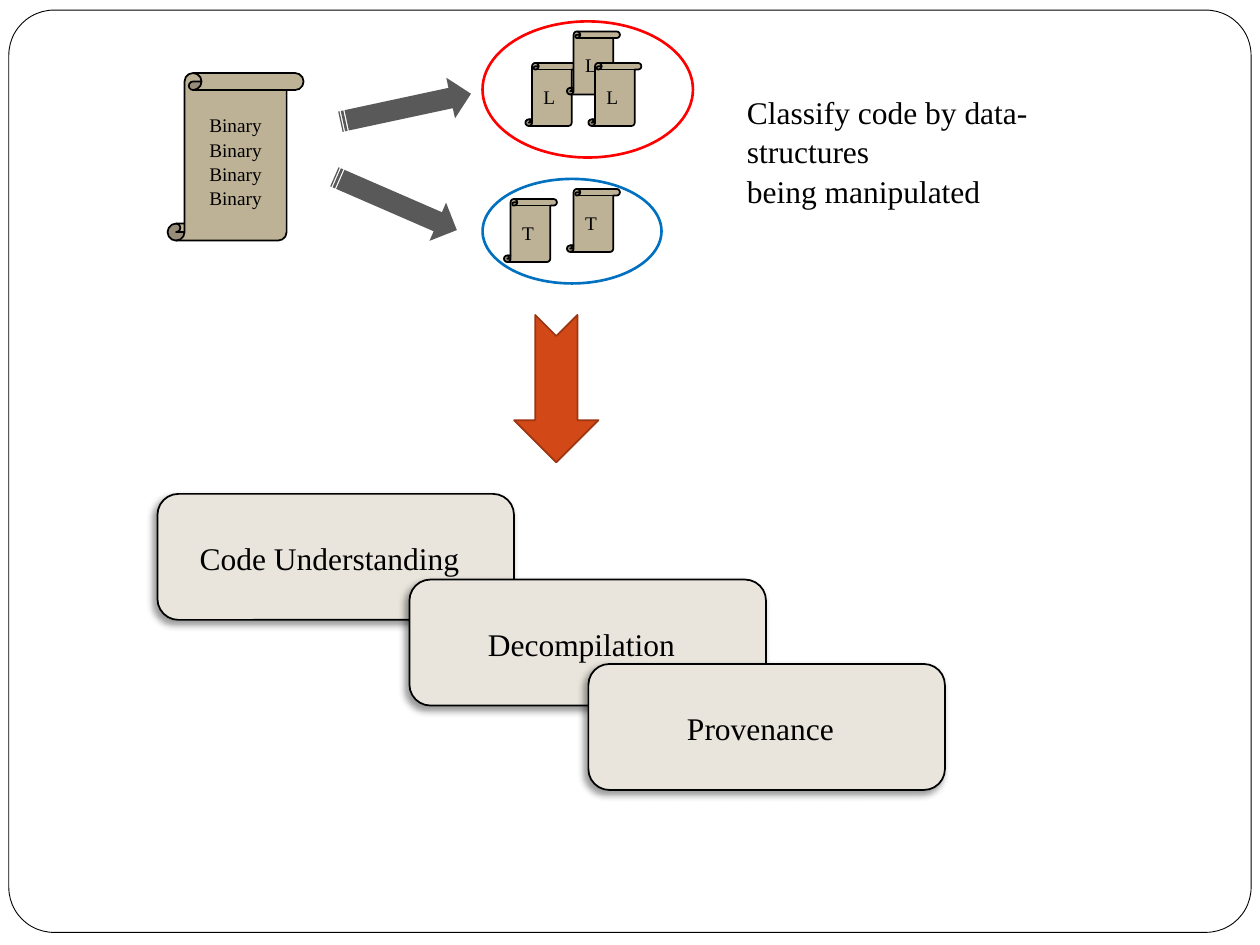
from lxml.etree import SubElement
from pptx import Presentation
from pptx.dml.color import RGBColor
from pptx.enum.shapes import MSO_SHAPE
from pptx.enum.text import MSO_ANCHOR, PP_ALIGN
from pptx.oxml.ns import qn
from pptx.util import Inches, Pt

BLACK = RGBColor(0x00, 0x00, 0x00)
WHITE = RGBColor(0xFF, 0xFF, 0xFF)
SCROLL_TAN = RGBColor(0xBD, 0xB1, 0x96)
BOX_BEIGE = RGBColor(0xE9, 0xE5, 0xDC)
ORANGE = RGBColor(0xD3, 0x48, 0x17)
DARK_ORANGE = RGBColor(0x9C, 0x35, 0x11)
GREY = RGBColor(0x59, 0x59, 0x59)
RED = RGBColor(0xFF, 0x00, 0x00)
BLUE = RGBColor(0x00, 0x70, 0xC0)


class SlideBuilder:
    font = "Times New Roman"
    line_spacing = 1.05

    def __init__(self, slide):
        self.slide = slide

    def outline(self, kind, bounds, fill=None, line=None, weight=1, rotation=0):
        shape = self.slide.shapes.add_shape(kind, *map(Inches, bounds))
        shape.shadow.inherit = False
        shape.rotation = rotation
        if fill is None:
            shape.fill.background()
        else:
            shape.fill.solid()
            shape.fill.fore_color.rgb = fill
        if line is None:
            shape.line.fill.background()
        else:
            shape.line.color.rgb = line
            shape.line.width = Pt(weight)
        return shape

    def label(self, shape, lines, size, align, anchor, left=0.1, right=0.1):
        frame = shape.text_frame
        frame.word_wrap = True
        frame.vertical_anchor = anchor
        frame.margin_left, frame.margin_right = Inches(left), Inches(right)
        paragraph = frame.paragraphs[0]
        paragraph.alignment = align
        paragraph.line_spacing = self.line_spacing
        for index, line in enumerate(lines):
            if index:
                paragraph.add_line_break()
            run = paragraph.add_run()
            run.text = line
            run.font.name = self.font
            run.font.size = Pt(size)
            run.font.color.rgb = BLACK

    def frame(self, bounds):
        border = self.outline(MSO_SHAPE.ROUNDED_RECTANGLE, bounds, WHITE, BLACK, 0.5)
        border.adjustments[0] = 0.049

    def scroll(self, bounds, text, left=0.1, right=0.1):
        scroll = self.outline(MSO_SHAPE.VERTICAL_SCROLL, bounds, SCROLL_TAN, BLACK)
        self.label(scroll, [text], 11, PP_ALIGN.CENTER, MSO_ANCHOR.MIDDLE, left, right)

    def code_scroll(self, left, top, letter):
        self.scroll((left, top, 0.42, 0.5), letter, 0, 0.04)

    def cluster(self, bounds, color):
        self.outline(MSO_SHAPE.OVAL, bounds, line=color, weight=1.5)

    def striped_arrow(self, left, top, rotation):
        self.outline(MSO_SHAPE.STRIPED_RIGHT_ARROW, (left, top, 1.06, 0.33),
                     GREY, rotation=rotation)

    def down_arrow(self, bounds):
        self.outline(MSO_SHAPE.NOTCHED_RIGHT_ARROW, bounds, ORANGE, DARK_ORANGE,
                     rotation=90)

    def use_box(self, left, top, use):
        box = self.outline(MSO_SHAPE.ROUNDED_RECTANGLE, (left, top, 2.83, 1),
                           BOX_BEIGE, BLACK)
        effects = box._element.spPr.find(qn("a:effectLst"))
        shadow = SubElement(effects, qn("a:outerShdw"), blurRad=str(Pt(4)),
                            dist=str(Pt(3)), dir="8100000", rotWithShape="0")
        color = SubElement(shadow, qn("a:srgbClr"), val=str(BLACK))
        SubElement(color, qn("a:alpha"), val="40000")
        self.label(box, [use], 18, PP_ALIGN.CENTER, MSO_ANCHOR.MIDDLE, left=0)

    def caption(self, bounds, lines):
        caption = self.slide.shapes.add_textbox(*map(Inches, bounds))
        self.label(caption, lines, 18, PP_ALIGN.LEFT, MSO_ANCHOR.TOP)


def main():
    deck = Presentation()
    deck.slide_width, deck.slide_height = Inches(10), Inches(7.5)
    builder = SlideBuilder(deck.slides.add_slide(deck.slide_layouts[6]))

    builder.frame((0.07, 0.08, 9.86, 7.32))
    builder.down_arrow((3.83, 2.75, 1.17, 0.67))
    for left, top, use in (
        (1.25, 3.92, "Code Understanding"),
        (3.25, 4.6, "Decompilation"),
        (4.67, 5.27, "Provenance"),
    ):
        builder.use_box(left, top, use)

    builder.scroll((1.33, 0.58, 1.08, 1.33), " ".join(["Binary"] * 4))
    for left, top, letter in (
        (4.17, 0.5, "L"),
        (4, 1.58, "T"),
        (4.5, 1.5, "T"),
        (4.5, 0.25, "L"),
    ):
        builder.code_scroll(left, top, letter)
    builder.cluster((3.83, 0.17, 1.67, 1.08), RED)
    builder.cluster((3.83, 1.42, 1.42, 0.83), BLUE)
    builder.striped_arrow(2.69, 0.69, 347.9)
    builder.striped_arrow(2.61, 1.45, 23.5)
    builder.code_scroll(4.67, 0.5, "L")
    builder.caption((5.83, 0.67, 3.07, 0.71),
                    ["Classify code by data-structures", "being manipulated"])

    deck.save("out.pptx")


if __name__ == "__main__":
    main()
